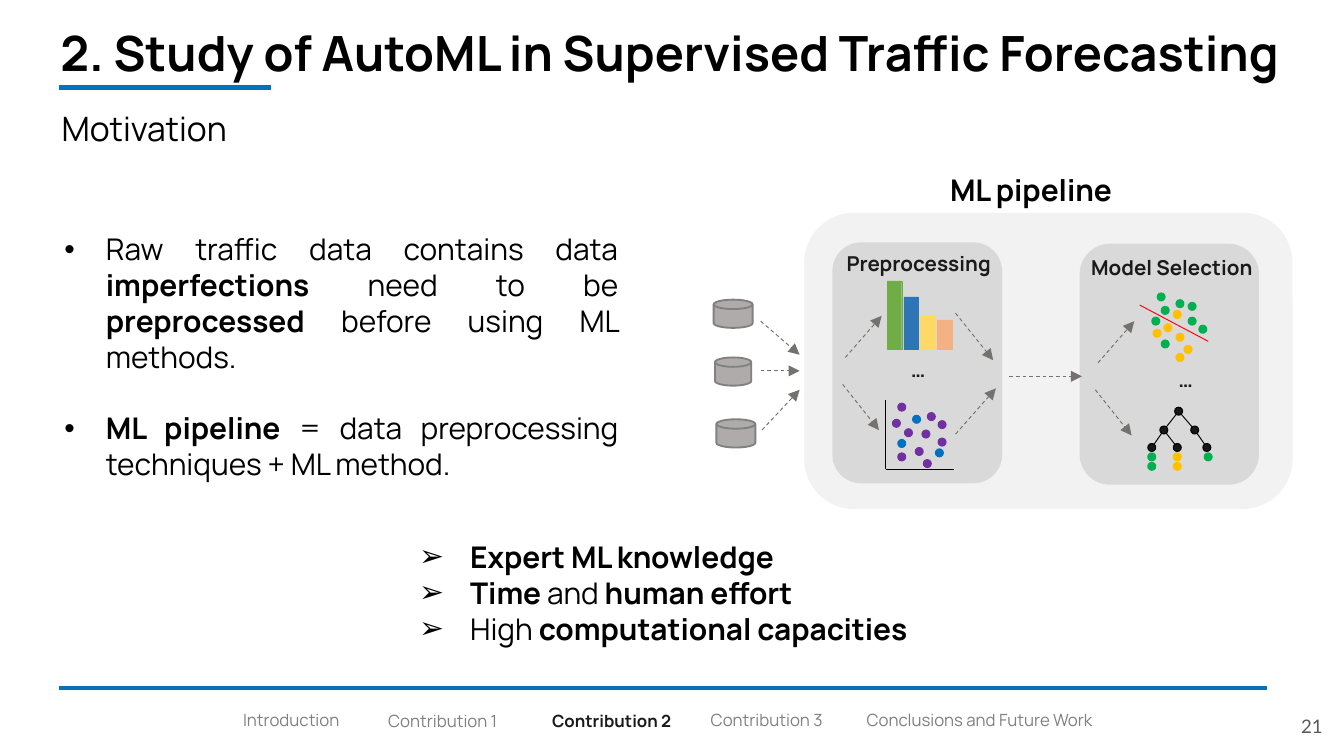
import math

import pptx
import pptx.dml.color
import pptx.enum.dml
import pptx.enum.shapes
import pptx.enum.text
import pptx.oxml
import pptx.oxml.ns
import pptx.util

Inches = pptx.util.Inches
SHAPE = pptx.enum.shapes.MSO_SHAPE
ALIGN = pptx.enum.text.PP_ALIGN
ANCHOR = pptx.enum.text.MSO_ANCHOR

BLACK, INK, GRAY, ARROW = "000000", "1A1A1A", "808080", "767171"
ACCENT, PANEL, PIPELINE, DISK = "0771B9", "D9D9D9", "F2F2F2", "AFABAB"
GREEN, YELLOW, BLUE, PURPLE, RED = "00B050", "FFC000", "0070C0", "7030A0", "FF0000"
DOT = 0.06


def color(value):
    return pptx.dml.color.RGBColor.from_string(value)


def add_xml(parent, tag, **attributes):
    child = pptx.oxml.parse_xml(f"<{tag} {pptx.oxml.ns.nsdecls('a')}/>")
    for name, value in attributes.items():
        child.set(name, str(value))
    parent.append(child)


def add_text(shapes, box, paragraphs, size, fill=BLACK, font="Manrope", align=ALIGN.LEFT,
             anchor=ANCHOR.TOP, padding=0.05, bullet=None, indent=0, gap=0):
    """Each paragraph is a list of (text, bold) runs."""
    text_box = shapes.add_textbox(*map(Inches, box))
    frame = text_box.text_frame
    frame.word_wrap = True
    frame.vertical_anchor = anchor
    frame.margin_left = frame.margin_right = Inches(0.1)
    frame.margin_top = frame.margin_bottom = Inches(padding)
    for index, runs in enumerate(paragraphs):
        paragraph = frame.paragraphs[0] if index == 0 else frame.add_paragraph()
        paragraph.alignment = align
        if index and gap:
            paragraph.space_before = pptx.util.Pt(gap)
        if bullet:
            properties = paragraph._p.get_or_add_pPr()
            properties.set("marL", str(Inches(indent)))
            properties.set("indent", str(-Inches(indent)))
            add_xml(properties, "a:buFont", typeface="Arial")
            add_xml(properties, "a:buChar", char=bullet)
        for text, bold in runs:
            run = paragraph.add_run()
            run.text = text
            run.font.name = font
            run.font.size = pptx.util.Pt(size)
            run.font.bold = bold
            run.font.color.rgb = color(fill)


def add_shape(shapes, kind, box, fill, line=None, width=1):
    shape = shapes.add_shape(kind, *map(Inches, box))
    shape.shadow.inherit = False
    shape.fill.solid()
    shape.fill.fore_color.rgb = color(fill)
    shape.line.color.rgb = color(line or fill)
    shape.line.width = pptx.util.Pt(width)


def add_line(shapes, start, end, stroke=BLACK, width=0.5, arrow=False):
    line = shapes.add_connector(pptx.enum.shapes.MSO_CONNECTOR.STRAIGHT,
                                *map(Inches, (*start, *end)))
    line.line.color.rgb = color(stroke)
    line.line.width = pptx.util.Pt(width)
    if arrow:
        line.line.dash_style = pptx.enum.dml.MSO_LINE.DASH
        add_xml(line.line._get_or_add_ln(), "a:tailEnd", type="triangle")
    add_xml(line._element.spPr, "a:effectLst")


def add_arrows(shapes, left, top, arrows):
    for x1, y1, x2, y2 in arrows:
        add_line(shapes, (left + x1, top + y1), (left + x2, top + y2), ARROW, arrow=True)


def add_dots(shapes, left, top, positions, fill, line=None):
    for x, y in positions:
        add_shape(shapes, SHAPE.OVAL, (left + x, top + y, DOT, DOT), fill, line, 0.5)


def add_header(slide, left, top):
    add_text(slide.shapes, (left, top, 9.59, 0.59),
             [[("2. Study of AutoML in Supervised Traffic Forecasting", True)]], 26, padding=0.1)
    add_line(slide.shapes, (left + 0.09, top + 0.58), (left + 1.67, top + 0.58), ACCENT, 2.5)
    add_text(slide.shapes, (left + 0.01, top + 0.68, 8.92, 0.71), [[("Motivation", False)]], 18)


def add_footer(slide, left, top):
    add_line(slide.shapes, (left, top), (left + 8.99, top), ACCENT, 2.5)
    sections = [("Introduction", 1.27, 0.11, 1.01), ("Contribution 1", 2.35, 0.12, 1.1),
                ("Contribution 2", 3.57, 0.12, 1.13), ("Contribution 3", 4.75, 0.11, 1.04),
                ("Conclusions and Future Work", 5.91, 0.11, 1.98)]
    for name, x, y, width in sections:
        current = name == "Contribution 2"
        add_text(slide.shapes, (left + x, top + y, width, 0.25), [[(name, current)]], 9,
                 INK if current else GRAY)
    add_text(slide.shapes, (left + 8.9, top + 0.07, 0.6, 0.43), [[("21", False)]], 10, "595959",
             "Lato", ALIGN.RIGHT, ANCHOR.MIDDLE, 0.1)


def add_motivation(slide, box):
    add_text(slide.shapes, box, [
        [("Raw traffic data contains data ", False), ("imperfections ", True),
         ("need to be ", False), ("preprocessed ", True), ("before using ML methods. ", False)],
        [("ML pipeline ", True), ("= data preprocessing techniques + ML method.", False)],
    ], 16, align=ALIGN.JUSTIFY, bullet="•", indent=0.31, gap=19.2)


def add_requirements(slide, box):
    add_text(slide.shapes, box, [
        [("Expert ML knowledge", True)],
        [("Time ", True), ("and ", False), ("human effort", True)],
        [("High ", False), ("computational capacities", True)],
    ], 16, bullet="➢", indent=0.38)


def add_panel(shapes, box, title, title_box, ellipsis_at):
    left, top = box[:2]
    add_shape(shapes, SHAPE.ROUNDED_RECTANGLE, box, PANEL)
    x, y, width = title_box
    add_text(shapes, (left + x, top + y, width, 0.29), [[(title, True)]], 11, INK)
    x, y = ellipsis_at
    add_text(shapes, (left + x, top + y, 1.06, 0.24), [[("…", True)]], 11, INK)


def add_bars(shapes, left, bottom):
    bars = [(0.51, "70AD47"), (0.39, "2E75B6"), (0.25, "FFD966"), (0.22, "F4B183")]
    for index, (height, fill) in enumerate(bars):
        add_shape(shapes, SHAPE.RECTANGLE,
                  (left + index * 0.125, bottom - height, 0.11, height), fill, width=0.25)


def add_scatter(shapes, left, top):
    corner = (left, top + 0.51)
    add_line(shapes, (left, top), corner)
    add_line(shapes, corner, (left + 0.51, top + 0.51))
    add_dots(shapes, left, top, [(0.2, 0.11), (0.37, 0.36), (0.09, 0.29)], BLUE)
    add_dots(shapes, left, top, [
        (0.22, 0.35), (0.27, 0.22), (0.09, 0.39), (0.05, 0.14), (0.31, 0.09), (0.39, 0.28),
        (0.14, 0.21), (0.39, 0.15), (0.09, 0.02), (0.28, 0.44)], PURPLE)


def add_classifier(shapes, left, top):
    add_dots(shapes, left, top, [
        (0.16, 0.35), (0.09, 0.18), (0.16, 0.1), (0.36, 0.18), (0.36, 0.07), (0.44, 0.24),
        (0.27, 0.05), (0.13, 0)], GREEN)
    add_dots(shapes, left, top, [
        (0.25, 0.13), (0.18, 0.23), (0.1, 0.27), (0.27, 0.3), (0.33, 0.39), (0.27, 0.45)], YELLOW)
    add_line(shapes, (left, top + 0.09), (left + 0.51, top + 0.36), RED)


def add_tree(shapes, left, top):
    nodes = [(0.2, 0), (0.09, 0.14), (0.32, 0.14), (0, 0.27), (0.19, 0.27), (0.41, 0.27)]
    add_dots(shapes, left, top, nodes, "181717", BLACK)
    add_dots(shapes, left, top, [(0, 0.34), (0, 0.41), (0.42, 0.34)], GREEN)
    add_dots(shapes, left, top, [(0.19, 0.34), (0.19, 0.41)], YELLOW)
    radius = DOT / 2
    for parent, child in [(0, 1), (0, 2), (1, 3), (1, 4), (2, 5)]:
        (x1, y1), (x2, y2) = nodes[parent], nodes[child]
        angle = math.atan2(y2 - y1, x2 - x1)
        dx, dy = radius * math.cos(angle), radius * math.sin(angle)
        x, y = left + radius, top + radius
        add_line(shapes, (x + x1 + dx, y + y1 + dy), (x + x2 - dx, y + y2 - dy))


def add_preprocessing(shapes, left, top):
    add_panel(shapes, (left, top, 1.25, 1.78), "Preprocessing", (0, 0.01, 1.39), (0.48, 0.8))
    add_bars(shapes, left + 0.4, top + 0.79)
    add_scatter(shapes, left + 0.39, top + 1.17)
    add_arrows(shapes, left, top, [
        (0.91, 0.52, 1.19, 0.87), (0.91, 1.42, 1.21, 1.08),
        (0.07, 1.05, 0.34, 1.39), (0.09, 0.85, 0.36, 0.54)])


def add_model_selection(shapes, left, top):
    add_panel(shapes, (left, top, 1.32, 1.78), "Model Selection", (-0.02, 0.03, 1.53),
              (0.63, 0.86))
    add_classifier(shapes, left + 0.44, top + 0.36)
    add_tree(shapes, left + 0.5, top + 1.21)
    add_arrows(shapes, left, top, [(0.11, 1.08, 0.38, 1.42), (0.13, 0.88, 0.4, 0.57)])


def add_data_sources(shapes, left, top):
    for x, y, width in [(0, 0, 0.29), (0.01, 0.43, 0.27), (0.02, 0.89, 0.29)]:
        add_shape(shapes, SHAPE.FLOWCHART_MAGNETIC_DISK, (left + x, top + y, width, 0.21),
                  DISK, GRAY)
    add_arrows(shapes, left, top, [
        (0.35, 0.16, 0.64, 0.41), (0.35, 0.53, 0.64, 0.53), (0.36, 0.97, 0.64, 0.67)])


def add_pipeline(slide, left, top):
    shapes = slide.shapes.add_group_shape().shapes
    add_text(shapes, (left + 1.66, top, 2.38, 0.37), [[("ML pipeline", True)]], 16)
    add_shape(shapes, SHAPE.ROUNDED_RECTANGLE, (left + 0.68, top + 0.36, 3.62, 2.19), PIPELINE)
    add_data_sources(shapes, left, top + 1)
    add_preprocessing(shapes, left + 0.89, top + 0.58)
    add_model_selection(shapes, left + 2.73, top + 0.59)
    add_arrows(shapes, left, top, [(2.2, 1.57, 2.74, 1.57)])


def main():
    presentation = pptx.Presentation()
    presentation.slide_width = Inches(10)
    presentation.slide_height = Inches(10 * 9 / 16)
    slide = presentation.slides.add_slide(presentation.slide_layouts[6])
    add_header(slide, 0.35, 0.07)
    add_motivation(slide, (0.38, 1.67, 4.32, 2.26))
    add_requirements(slide, (3.02, 3.96, 3.92, 0.91))
    add_pipeline(slide, 5.31, 1.23)
    add_footer(slide, 0.44, 5.12)
    presentation.save("out.pptx")


if __name__ == "__main__":
    main()
